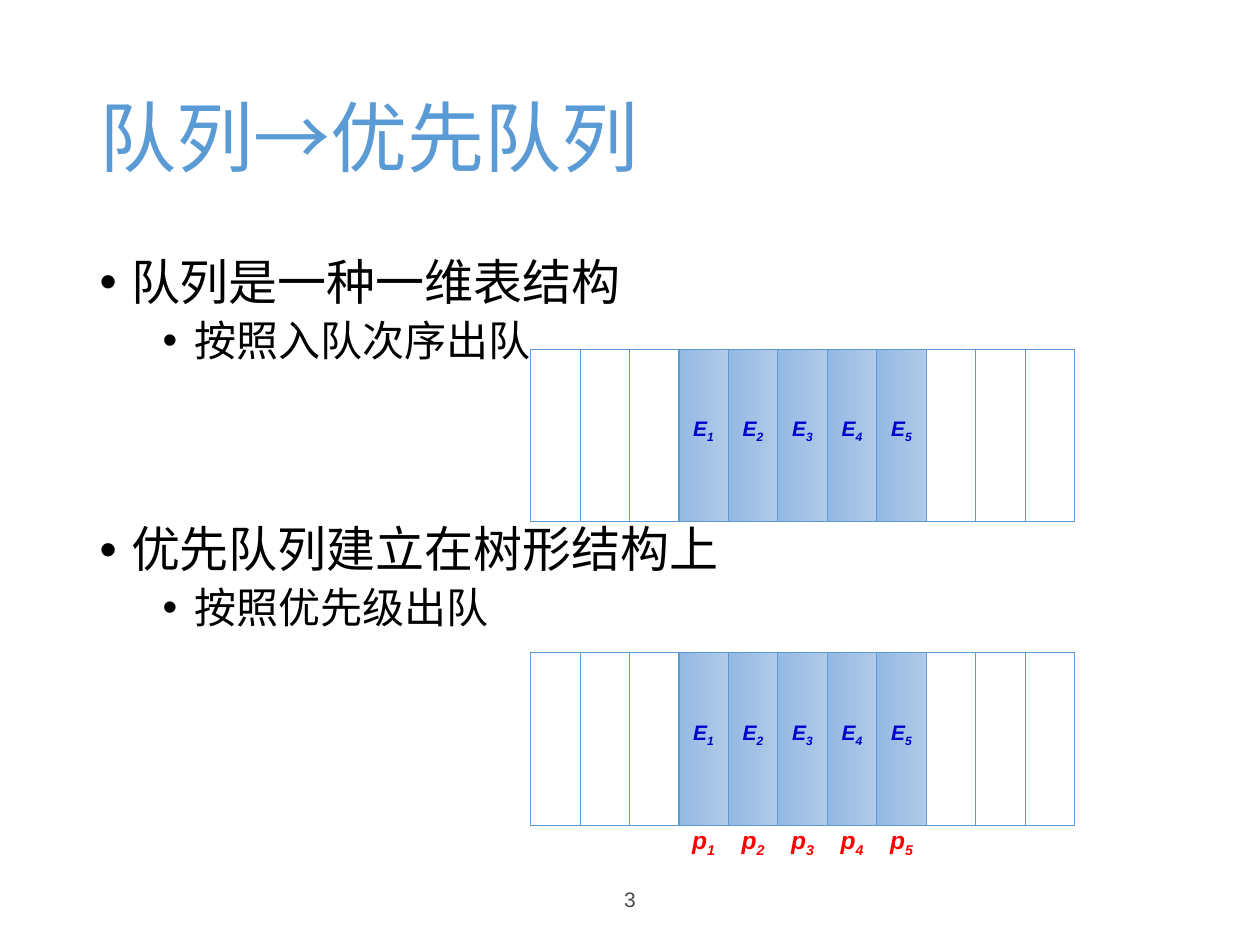
"""Build the slide that leads from queues to priority queues."""
from copy import deepcopy

from lxml import etree
from pptx import Presentation
from pptx import util as u
from pptx.dml.color import RGBColor
from pptx.enum import shapes, text
from pptx.oxml.ns import qn

TITLE = "队列→优先队列"
BODY = [
    # level, wording, space before in points
    (0, "队列是一种一维表结构", 10),
    (1, "按照入队次序出队", 5),
    (0, "优先队列建立在树形结构上", 91.6),
    (1, "按照优先级出队", 5),
]
LEVELS = [{"size": 28, "indent": 0.25}, {"size": 24, "indent": 0.75}]
PAGE_NUMBER = "3"

BLUE, BLACK, GREY, NAVY, RED = "5B9BD5", "000000", "4B4B4B", "0000CC", "FF0000"
SHADES = ["B1CBE9", "A3C1E5", "93B9E4"]
CELLS, FIRST_FULL, FULL = 11, 3, 5
ROW_LEFT, CELL_WIDTH, CELL_HEIGHT = 4.21, 0.3927, 1.37
ROW_TOPS = [2.77, 5.18]
ELEMENT_DROP, PRIORITY_DROP = 0.48, 1.32


def color(value):
    """Turn a hex string into a colour."""
    return RGBColor.from_string(value)


def place(shape, left, top, width, height):
    """Move and size a shape in inches."""
    shape.left, shape.top = u.Inches(left), u.Inches(top)
    shape.width, shape.height = u.Inches(width), u.Inches(height)


def style(para, size, shade, name="Arial", strong=False):
    """Set the font of a paragraph."""
    font = para.font
    font.size, font.name, font.color.rgb = u.Pt(size), name, color(shade)
    font.bold = font.italic = strong


def add_text_box(page, left, top, width, height):
    """Add a centred text box and return its paragraph."""
    box = page.shapes.add_textbox(*map(u.Inches, (left, top, width, height)))
    frame = box.text_frame
    frame.word_wrap = True
    frame.margin_left = frame.margin_right = 0
    para = frame.paragraphs[0]
    para.alignment = text.PP_ALIGN.CENTER
    return para


def add_title(page):
    """Fill the title placeholder."""
    title = page.shapes.title
    place(title, 0.69, 0.4, 8.62, 1.45)
    title.text_frame.text = TITLE
    title.text_frame.vertical_anchor = text.MSO_ANCHOR.MIDDLE
    title.text_frame.auto_size = text.MSO_AUTO_SIZE.NONE
    para = title.text_frame.paragraphs[0]
    para.alignment, para.line_spacing = text.PP_ALIGN.LEFT, 0.9
    style(para, 44, BLUE, "Calibri")


def add_body(page):
    """Fill the body placeholder with the bulleted list."""
    body = page.placeholders[1]
    place(body, 0.69, 2, 8.62, 4.76)
    frame = body.text_frame
    frame.text = "\n".join(wording for _, wording, _ in BODY)
    frame.auto_size = text.MSO_AUTO_SIZE.NONE
    for para, (level, _, before) in zip(frame.paragraphs, BODY):
        para.level, para.line_spacing = level, 0.9
        para.space_before = u.Pt(before)
        style(para, LEVELS[level]["size"], BLACK, "Calibri")
        props = para._p.get_or_add_pPr()
        props.set("marL", str(u.Inches(LEVELS[level]["indent"])))
        props.set("indent", str(u.Inches(-0.25)))
        bullet_font = etree.Element(qn("a:buFont"), typeface="Arial")
        bullet = etree.Element(qn("a:buChar"), char="•")
        props.find(qn("a:defRPr")).addprevious(bullet_font)
        bullet_font.addnext(bullet)


def shade_cell(cell):
    """Give a cell its three-stop gradient."""
    cell.fill.gradient()
    cell.fill.gradient_angle = 270
    stops = cell.fill.gradient_stops
    first = stops[0]._gs
    first.addnext(deepcopy(first))
    for index, (stop, shade) in enumerate(zip(cell.fill.gradient_stops, SHADES)):
        stop.position, stop.color.rgb = index / 2, color(shade)


def add_cell(page, column, top):
    """Add one upright cell of a queue."""
    cell = page.shapes.add_shape(shapes.MSO_SHAPE.RECTANGLE, 0, 0, 0, 0)
    middle = ROW_LEFT + (column + 0.5) * CELL_WIDTH
    place(cell, middle - CELL_HEIGHT / 2, top + (CELL_HEIGHT - CELL_WIDTH) / 2,
          CELL_HEIGHT, CELL_WIDTH)
    cell.rotation = 90
    cell.shadow.inherit = False
    cell.line.color.rgb, cell.line.width = color(BLUE), u.Pt(0.5)
    if FIRST_FULL <= column < FIRST_FULL + FULL:
        shade_cell(cell)
    else:
        cell.fill.background()


def add_labels(page, letter, top, size, shade):
    """Label the full cells with a letter and a subscript number."""
    for index in range(FULL):
        left = ROW_LEFT + (FIRST_FULL + index) * CELL_WIDTH
        para = add_text_box(page, left, top, CELL_WIDTH, size / 40)
        style(para, size, shade, strong=True)
        para.add_run().text = letter
        number = para.add_run()
        number.text = str(index + 1)
        number.font._element.set("baseline", "-25000")


def main():
    """Build and save the deck."""
    deck = Presentation()
    deck.slide_width, deck.slide_height = u.Inches(10), u.Inches(7.5)
    page = deck.slides.add_slide(deck.slide_layouts[1])
    add_title(page)
    add_body(page)
    para = add_text_box(page, 3.31, 6.99, 3.38, 0.4)
    para.text = PAGE_NUMBER
    style(para, 12, GREY)
    for top in ROW_TOPS:
        for column in range(CELLS):
            add_cell(page, column, top)
        add_labels(page, "E", top + ELEMENT_DROP, 12, NAVY)
    add_labels(page, "p", ROW_TOPS[-1] + PRIORITY_DROP, 14, RED)
    deck.save("out.pptx")


if __name__ == "__main__":
    main()
